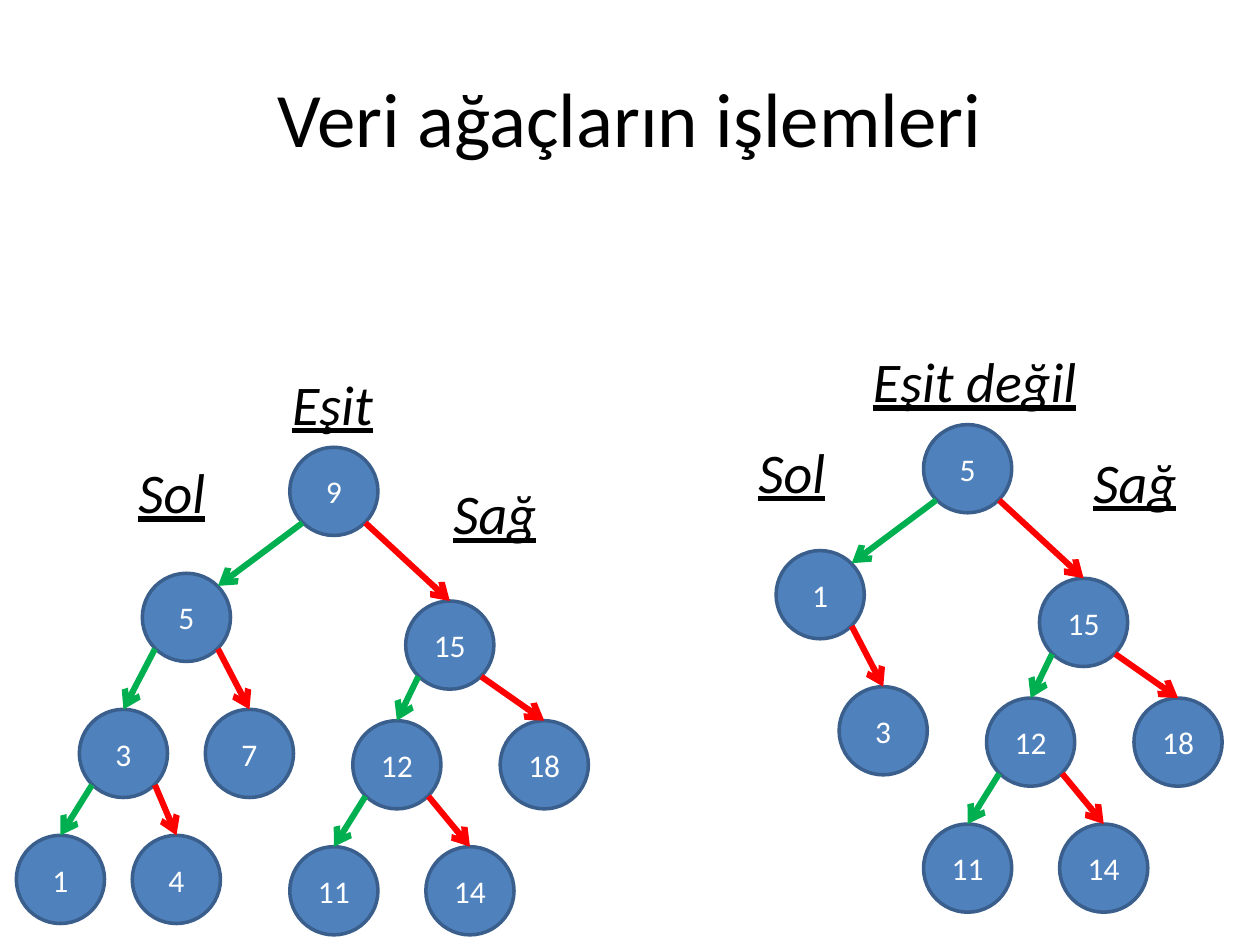
import pptx
import pptx.dml.color
import pptx.enum.shapes
import pptx.enum.text
import pptx.util
import pptx.oxml
import pptx.oxml.ns
import lxml.etree

presentation = pptx.Presentation()
presentation.slide_width = pptx.util.Inches(10)
presentation.slide_height = pptx.util.Inches(7.5)
slide = presentation.slides.add_slide(presentation.slide_layouts[5])

# The slide is a grid of 10 columns by 7.5 rows of square cells.
COLUMN = presentation.slide_width / 10
ROW = presentation.slide_height / 7.5
NODE_SIZE = 0.7
CORNER = 0.25  # from a node's centre to its diagonal points, per axis


def grid(*lengths):
    """Turn alternating columns and rows into slide lengths."""
    return [round(length * (ROW if index % 2 else COLUMN))
            for index, length in enumerate(lengths)]


def color(value):
    return pptx.dml.color.RGBColor.from_string(value)


title = slide.shapes.title
title.left, title.top, title.width, title.height = grid(0.5, 0.3, 9, 1.25)
title.text_frame.text = "Veri ağaçların işlemleri"
title.text_frame.vertical_anchor = pptx.enum.text.MSO_ANCHOR.MIDDLE
paragraph = title.text_frame.paragraphs[0]
paragraph.alignment = pptx.enum.text.PP_ALIGN.CENTER
paragraph.font.name = "Calibri"
paragraph.font.size = pptx.util.Pt(44)
paragraph.font.color.rgb = color("000000")

# Left and top of each node, keyed by its path from the root (L left, R right).
positions = {
    "": (2.3, 3.55), "L": (1.13, 4.55), "R": (3.22, 4.77),
    "LL": (0.63, 5.63), "LR": (1.63, 5.63), "RL": (2.8, 5.72), "RR": (3.97, 5.72),
    "LLL": (0.13, 6.63), "LLR": (1.05, 6.63),
    "RLL": (2.3, 6.72), "RLR": (3.38, 6.72),
}
right_branch = {"R": 15, "RL": 12, "RR": 18, "RLL": 11, "RLR": 14}

# Tree offset, node values and headings (text, left, top, width).
trees = [
    ((0, 0),
     {"": 9, "L": 5, "LL": 3, "LR": 7, "LLL": 1, "LLR": 4, **right_branch},
     [("Sağ", 3.5, 3.75, 0.87), ("Sol", 1, 3.58, 0.74), ("Eşit", 2.22, 2.88, 0.85)]),
    ((5.03, -0.18),
     {"": 5, "L": 1, "LR": 3, **right_branch},
     [("Sağ", 8.58, 3.5, 0.87), ("Sol", 5.92, 3.42, 0.74), ("Eşit değil", 6.83, 2.7, 1.84)]),
]

for (shift_x, shift_y), values, headings in trees:
    centers = {}
    for path, value in values.items():
        left, top = positions[path][0] + shift_x, positions[path][1] + shift_y
        centers[path] = (left + NODE_SIZE / 2, top + NODE_SIZE / 2)
        node = slide.shapes.add_shape(
            pptx.enum.shapes.MSO_SHAPE.FLOWCHART_CONNECTOR,
            *grid(left, top, NODE_SIZE, NODE_SIZE))
        node.shadow.inherit = False
        node.fill.solid()
        node.fill.fore_color.rgb = color("4F81BD")
        node.line.color.rgb = color("3A5F8C")
        node.line.width = pptx.util.Pt(2)
        node.text_frame.text = str(value)
        node.text_frame.vertical_anchor = pptx.enum.text.MSO_ANCHOR.MIDDLE
        paragraph = node.text_frame.paragraphs[0]
        paragraph.alignment = pptx.enum.text.PP_ALIGN.CENTER
        paragraph.font.name = "Calibri"
        paragraph.font.size = pptx.util.Pt(18)
        paragraph.font.color.rgb = color("FFFFFF")

    for path, (x, y) in centers.items():
        if not path:
            continue
        goes_left = path.endswith("L")
        parent_x, parent_y = centers[path[:-1]]
        start = (parent_x + (-CORNER if goes_left else CORNER), parent_y + CORNER)
        end = (x + CORNER, y - CORNER) if path == "L" else (x, y - NODE_SIZE / 2)
        arrow = slide.shapes.add_connector(
            pptx.enum.shapes.MSO_CONNECTOR.STRAIGHT, *grid(*start, *end))
        arrow.line.color.rgb = color("00B050" if goes_left else "FF0000")
        arrow.line.width = pptx.util.Pt(3.5)
        properties = arrow.line._get_or_add_ln()
        lxml.etree.SubElement(properties, pptx.oxml.ns.qn("a:tailEnd"), type="arrow")
        lxml.etree.SubElement(arrow._element.spPr, pptx.oxml.ns.qn("a:effectLst"))

    for text, left, top, width in headings:
        heading = slide.shapes.add_textbox(*grid(left, top, width, 0.64))
        heading.text_frame.text = text
        heading.text_frame.word_wrap = False
        heading.text_frame.auto_size = pptx.enum.text.MSO_AUTO_SIZE.SHAPE_TO_FIT_TEXT
        paragraph = heading.text_frame.paragraphs[0]
        paragraph.font.name = "Calibri"
        paragraph.font.size = pptx.util.Pt(32)
        paragraph.font.italic = True
        paragraph.font.underline = True
        paragraph.font.color.rgb = color("000000")

presentation.save("out.pptx")
